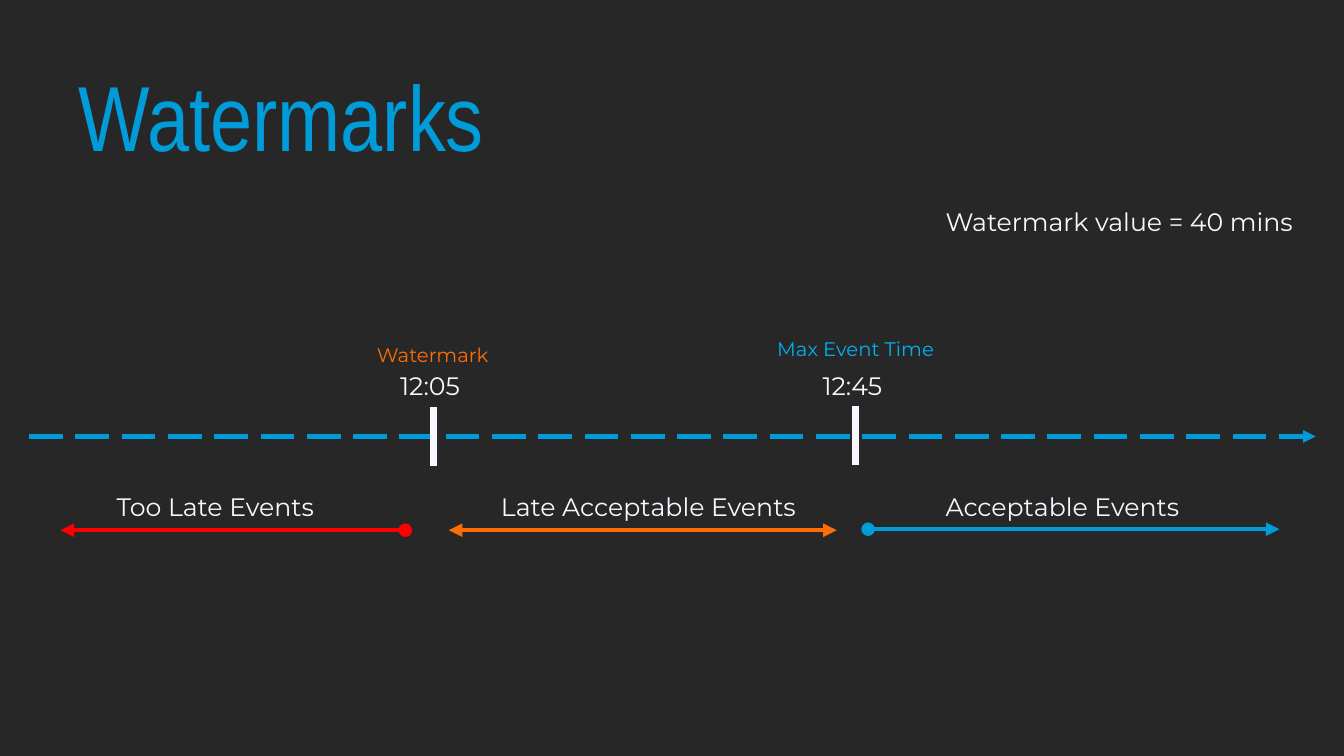
"""Build the Watermarks timeline slide."""
import lxml.etree
import pptx
import pptx.dml.color
import pptx.enum.dml
import pptx.enum.shapes
import pptx.enum.text
import pptx.oxml.ns
import pptx.util

Inches = pptx.util.Inches
BLUE, SKY, ORANGE, RED, WHITE = "009BD9", "00B0F0", "FB6E05", "FF0000", "F9F7FF"


def color(value):
    return pptx.dml.color.RGBColor.from_string(value)


class TimelineSlide:
    def __init__(self, deck, background):
        self.font = "Montserrat"
        self.slide = deck.slides.add_slide(deck.slide_layouts[6])
        self.slide.background.fill.solid()
        self.slide.background.fill.fore_color.rgb = color(background)

    def text(self, words, left, top, width, height=0.4, size=18, fill=WHITE, font=None):
        box = self.slide.shapes.add_textbox(
            Inches(left), Inches(top), Inches(width), Inches(height))
        frame = box.text_frame
        frame.word_wrap = True
        frame.text = words
        span = frame.paragraphs[0].runs[0]
        span.font.name = font or self.font
        span.font.size = pptx.util.Pt(size)
        span.font.color.rgb = color(fill)
        return frame

    def title(self, words):
        frame = self.text(words, 0.68, 0.67, 9.63, 1.07, 66, BLUE, "Arial Narrow")
        frame.vertical_anchor = pptx.enum.text.MSO_ANCHOR.MIDDLE
        frame.paragraphs[0].line_spacing = 0.9

    def line(self, start, end, fill, weight, head=None, tail=None, dash=None):
        connector = self.slide.shapes.add_connector(
            pptx.enum.shapes.MSO_CONNECTOR.STRAIGHT,
            *[Inches(value) for value in (*start, *end)])
        connector.line.color.rgb = color(fill)
        connector.line.width = pptx.util.Pt(weight)
        if dash:
            connector.line.dash_style = dash
        qn = pptx.oxml.ns.qn
        properties = connector.element.spPr
        outline = properties.find(qn("a:ln"))
        for tag, kind in (("a:headEnd", head), ("a:tailEnd", tail)):
            if kind:
                lxml.etree.SubElement(outline, qn(tag), type=kind)
        lxml.etree.SubElement(properties, qn("a:effectLst"))

    def marker(self, x, top, time):
        self.line((x, top), (x, top + 0.58), WHITE, 5)
        self.text(time, x - 0.43, 3.62, 0.88)

    def span(self, words, left, width, start, end, y, fill, head):
        self.line((start, y), (end, y), fill, 3.25, head, "triangle")
        self.text(words, left, 4.83, width)


def main():
    deck = pptx.Presentation()
    deck.slide_width, deck.slide_height = Inches(13.33), Inches(7.5)
    page = TimelineSlide(deck, "282727")
    page.title("Watermarks")
    page.line((0.29, 4.33), (13.05, 4.33), BLUE, 3, tail="triangle",
              dash=pptx.enum.dml.MSO_LINE.LONG_DASH)
    page.marker(4.3, 4.04, "12:05")
    page.marker(8.49, 4.03, "12:45")
    page.text("Watermark", 3.64, 3.35, 1.35, 0.34, 14, ORANGE)
    page.text("Max Event Time", 7.61, 3.29, 1.78, 0.34, 14, SKY)
    page.text("Watermark value = 40 mins", 9.28, 2, 3.74)
    page.span("Acceptable Events", 9.28, 2.75, 8.61, 12.69, 5.25, BLUE, "oval")
    page.span("Late Acceptable Events", 4.87, 3.42, 4.45, 8.3, 5.26, ORANGE, "triangle")
    page.span("Too Late Events", 1.06, 2.57, 4.02, 0.6, 5.26, RED, "oval")
    deck.save("out.pptx")


if __name__ == "__main__":
    main()
